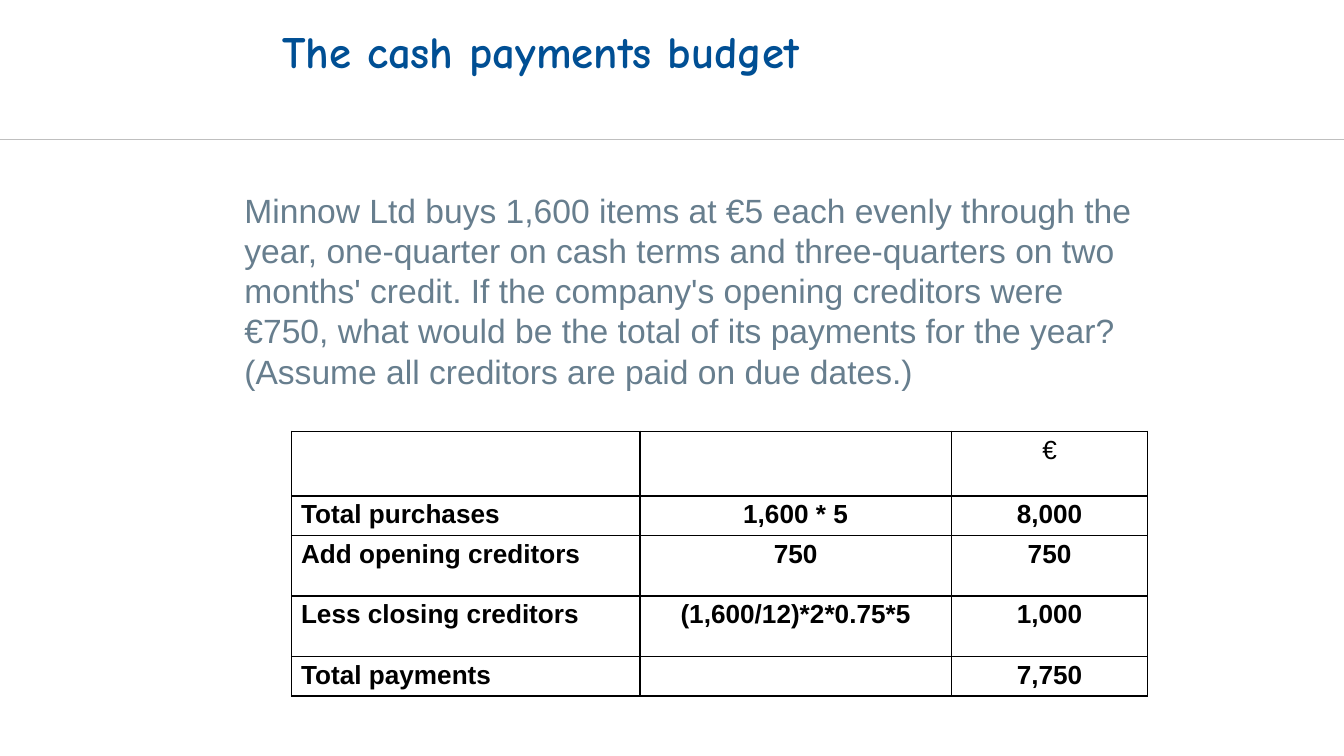
from dataclasses import dataclass

from lxml import etree
from pptx import Presentation
from pptx.dml.color import RGBColor
from pptx.enum.shapes import MSO_CONNECTOR
from pptx.enum.text import MSO_ANCHOR, PP_ALIGN
from pptx.oxml.ns import qn
from pptx.util import Inches, Pt

STRAIGHT = MSO_CONNECTOR.STRAIGHT
TOP, MIDDLE = MSO_ANCHOR.TOP, MSO_ANCHOR.MIDDLE
LEFT, CENTER = PP_ALIGN.LEFT, PP_ALIGN.CENTER


@dataclass(frozen=True)
class Theme:
    """Colours, fonts and type sizes of the slide."""
    paper: str = "FFFFFF"
    ink: str = "000000"
    title: str = "004F94"
    body: str = "677E8E"
    rule: str = "BFBFBF"
    title_font: str = "Comic Neue"
    body_font: str = "Arial"
    title_size: int = 24
    body_size: int = 18
    table_size: int = 14


THEME = Theme()
TITLE_FORMAT = {"name": THEME.title_font, "size": Pt(THEME.title_size), "bold": True}
BODY_FORMAT = {"name": THEME.body_font, "size": Pt(THEME.body_size), "bold": False}
UNIT_FORMAT = {"name": THEME.body_font, "size": Pt(THEME.table_size), "bold": False}
CELL_FORMAT = {**UNIT_FORMAT, "bold": True}

SLIDE_WIDTH = 10
SLIDE_HEIGHT = SLIDE_WIDTH * 9 / 16
QUESTION = [
    "Minnow Ltd buys 1,600 items at €5 each evenly through the year, one-quarter on cash "
    "terms and three-quarters on two months' credit. If the company's opening creditors "
    "were €750, what would be the total of its payments for the year?",
    "(Assume all creditors are paid on due dates.)",
]
PAYMENTS = [
    ("", "", "€"),
    ("Total purchases", "1,600 * 5", "8,000"),
    ("Add opening creditors", "750", "750"),
    ("Less closing creditors", "(1,600/12)*2*0.75*5", "1,000"),
    ("Total payments", "", "7,750"),
]
COLUMN_WIDTHS = [2.59, 2.32, 1.46]
ROW_HEIGHTS = [0.48, 0.29, 0.45, 0.45, 0.29]


def set_attributes(target, values):
    """Set each named value on the target."""
    for name, value in values.items():
        setattr(target, name, value)


def write(paragraph, text, font_format, colour):
    """Add one formatted run to a paragraph."""
    run = paragraph.add_run()
    run.text = text
    set_attributes(run.font, font_format)
    run.font.color.rgb = RGBColor.from_string(colour)


def add_text(slide, box, lines, font_format, colour, frame_format):
    """Place a wrapped text box with one left-aligned paragraph for each line."""
    frame = slide.shapes.add_textbox(*map(Inches, box)).text_frame
    set_attributes(frame, {"word_wrap": True, **frame_format})
    for index, line in enumerate(lines):
        paragraph = frame.add_paragraph() if index else frame.paragraphs[0]
        paragraph.alignment = LEFT
        write(paragraph, line, font_format, colour)


def add_header(slide, box):
    """Place the title and the rule along the bottom of the header box."""
    left, top, width, height = box
    add_text(slide, (left + 2, top, 6.38, 0.75), ["The cash payments budget"],
             TITLE_FORMAT, THEME.title, {"vertical_anchor": MIDDLE})
    bottom = top + height
    rule = slide.shapes.add_connector(
        STRAIGHT, *map(Inches, (left, bottom, left + width, bottom)))
    rule.line.color.rgb = RGBColor.from_string(THEME.rule)
    rule.line.width = Pt(0.75)
    etree.SubElement(rule._element.spPr, qn("a:effectLst"))


def add_question(slide, box):
    """Place the question below a gap at the top of its box."""
    add_text(slide, box, QUESTION, BODY_FORMAT, THEME.body, {
        "vertical_anchor": TOP, "margin_top": Inches(0.36), "margin_right": Inches(0.05),
    })


def add_borders(cell):
    """Draw a thin line on all four sides of a cell."""
    properties = cell._tc.get_or_add_tcPr()
    for index, side in enumerate(("lnL", "lnR", "lnT", "lnB")):
        line = etree.Element(qn(f"a:{side}"), w=str(Pt(1)))
        fill = etree.SubElement(line, qn("a:solidFill"))
        etree.SubElement(fill, qn("a:srgbClr"), val=THEME.ink)
        properties.insert(index, line)


def fill_cell(cell, text, font_format, alignment):
    """Give a cell its fill, borders, margins and text."""
    set_attributes(cell, {
        "margin_left": Inches(0.07), "margin_right": Inches(0.07),
        "margin_top": Inches(0.03), "margin_bottom": Inches(0.03),
        "vertical_anchor": TOP,
    })
    cell.fill.solid()
    cell.fill.fore_color.rgb = RGBColor.from_string(THEME.paper)
    add_borders(cell)
    paragraph = cell.text_frame.paragraphs[0]
    paragraph.alignment = alignment
    if text:
        write(paragraph, text, font_format, THEME.ink)
    else:
        etree.SubElement(paragraph._p, qn("a:endParaRPr"), sz=str(THEME.table_size * 100))


def add_payments_table(slide, box):
    """Place the table that works out the total payments."""
    table = slide.shapes.add_table(
        len(PAYMENTS), len(COLUMN_WIDTHS), *map(Inches, box)).table
    set_attributes(table, {"first_row": False, "horz_banding": False})
    for column, width in zip(table.columns, COLUMN_WIDTHS):
        column.width = Inches(width)
    for row, height in zip(table.rows, ROW_HEIGHTS):
        row.height = Inches(height)
    for row_index, values in enumerate(PAYMENTS):
        font_format = CELL_FORMAT if row_index else UNIT_FORMAT
        for column_index, text in enumerate(values):
            fill_cell(table.cell(row_index, column_index), text, font_format,
                      CENTER if column_index else LEFT)


def main():
    """Build the slide and save it."""
    presentation = Presentation()
    set_attributes(presentation, {
        "slide_width": Inches(SLIDE_WIDTH), "slide_height": Inches(SLIDE_HEIGHT),
    })
    slide = presentation.slides.add_slide(presentation.slide_layouts[6])
    slide.background.fill.solid()
    slide.background.fill.fore_color.rgb = RGBColor.from_string(THEME.paper)
    add_header(slide, (0, 0, SLIDE_WIDTH, 1.04))
    add_question(slide, (1.72, 1.05, 6.81, 3.13))
    add_payments_table(slide, (2.17, 3.21, sum(COLUMN_WIDTHS), sum(ROW_HEIGHTS)))
    presentation.save("out.pptx")


if __name__ == "__main__":
    main()
